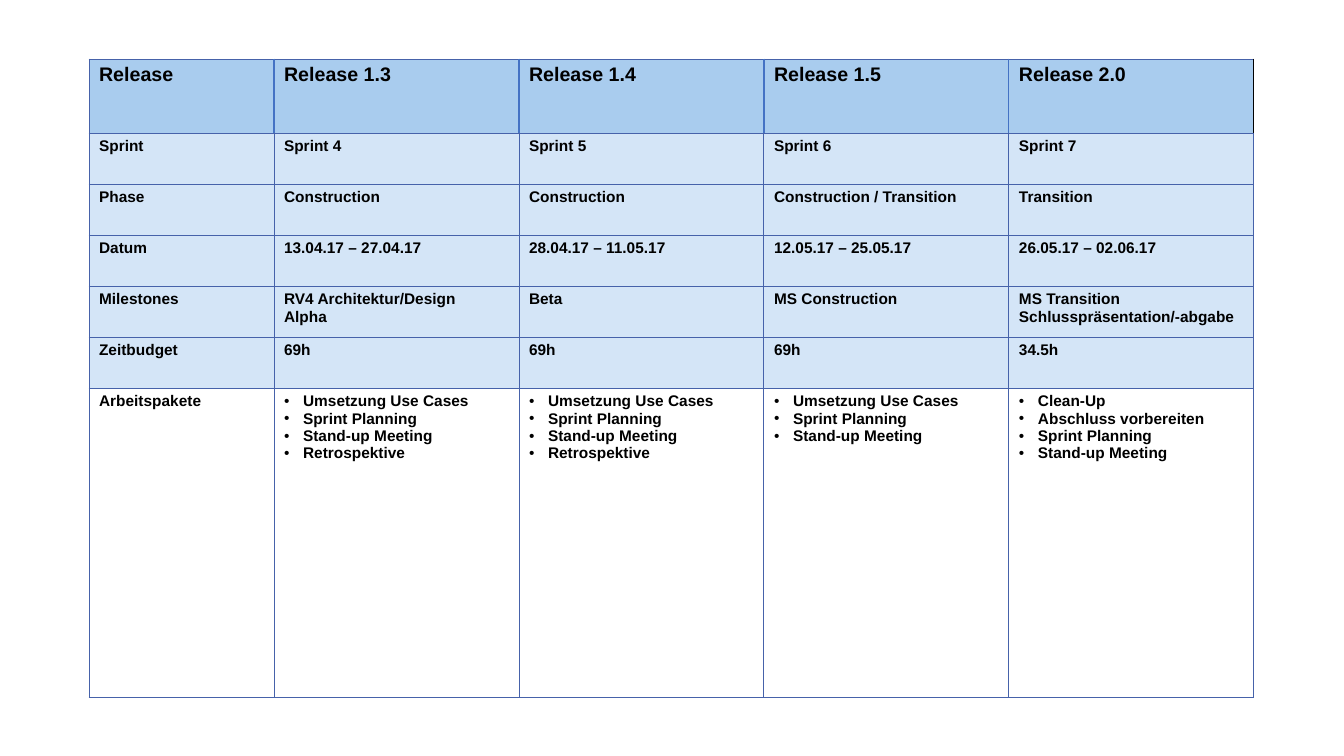
from lxml import etree
from pptx import Presentation
from pptx import util as u
from pptx.dml.color import RGBColor
from pptx.oxml import ns

# Content: one row per topic, one column per release; lists become several paragraphs
SPRINT_TASKS = ["Umsetzung Use Cases", "Sprint Planning", "Stand-up Meeting"]
ROWS = [
    ["Release", "Release 1.3", "Release 1.4", "Release 1.5", "Release 2.0"],
    ["Sprint", "Sprint 4", "Sprint 5", "Sprint 6", "Sprint 7"],
    ["Phase", "Construction", "Construction", "Construction / Transition", "Transition"],
    ["Datum", "13.04.17 – 27.04.17", "28.04.17 – 11.05.17",
     "12.05.17 – 25.05.17", "26.05.17 – 02.06.17"],
    ["Milestones", ["RV4 Architektur/Design", "Alpha"], "Beta", "MS Construction",
     ["MS Transition", "Schlusspräsentation/-abgabe"]],
    ["Zeitbudget", "69h", "69h", "69h", "34.5h"],
    ["Arbeitspakete", SPRINT_TASKS + ["Retrospektive"], SPRINT_TASKS + ["Retrospektive"],
     SPRINT_TASKS,
     ["Clean-Up", "Abschluss vorbereiten", "Sprint Planning", "Stand-up Meeting"]],
]

# Layout in px
PX_PER_INCH = 100.8
SLIDE_SIZE = (1344, 756)
LEFT, TOP = 89, 59
COLUMN_WIDTHS = [185] + [245] * 4
ROW_HEIGHTS = [74] + [51] * 5 + [310]
BULLET_INDENT = 19

# Style
FONT = "Arial"
HEADER_FILL, BODY_FILL, TASK_FILL = "A9CCEE", "D4E5F7", "FFFFFF"
GRID = ("4662AA", 0.75)
HEADER_DIVIDER = ("4472C4", 1)
HEADER_END = ("000000", 0.75)


def px(length):
    return u.Emu(round(length * 914400 / PX_PER_INCH))


def color(value):
    return RGBColor.from_string(value)


def add_border(cell, side, line):
    line_color, width = line
    border = etree.SubElement(cell._tc.get_or_add_tcPr(), ns.qn(f"a:ln{side}"),
                              w=str(u.Pt(width)))
    fill = etree.SubElement(border, ns.qn("a:solidFill"))
    etree.SubElement(fill, ns.qn("a:srgbClr"), val=line_color)


def add_bullet(paragraph):
    properties = paragraph._p.get_or_add_pPr()
    properties.set("marL", str(px(BULLET_INDENT)))
    properties.set("indent", str(-px(BULLET_INDENT)))
    bullet_font = etree.Element(ns.qn("a:buFont"), typeface=FONT)
    bullet = etree.Element(ns.qn("a:buChar"), char="•")
    properties.insert(0, bullet_font)
    properties.insert(1, bullet)


def write_cell(cell, content, size, bulleted):
    lines = content if isinstance(content, list) else [content]
    cell.text = "\n".join(lines)
    for paragraph in cell.text_frame.paragraphs:
        paragraph.font.name = FONT
        paragraph.font.size = u.Pt(size)
        paragraph.font.bold = True
        paragraph.font.color.rgb = color("000000")
        if bulleted:
            add_bullet(paragraph)


def main():
    presentation = Presentation()
    presentation.slide_width, presentation.slide_height = map(px, SLIDE_SIZE)
    slide = presentation.slides.add_slide(presentation.slide_layouts[6])

    # Release plan table
    table = slide.shapes.add_table(
        len(ROWS), len(COLUMN_WIDTHS), px(LEFT), px(TOP),
        px(sum(COLUMN_WIDTHS)), px(sum(ROW_HEIGHTS))).table
    for column, width in zip(table.columns, COLUMN_WIDTHS):
        column.width = px(width)
    for row, height in zip(table.rows, ROW_HEIGHTS):
        row.height = px(height)

    # Cells: text, borders, then fill
    last_row, last_column = len(ROWS) - 1, len(COLUMN_WIDTHS) - 1
    for r, contents in enumerate(ROWS):
        is_header, is_tasks = r == 0, r == last_row
        row_fill = HEADER_FILL if is_header else TASK_FILL if is_tasks else BODY_FILL
        for c, content in enumerate(contents):
            cell = table.cell(r, c)
            write_cell(cell, content, 14 if is_header else 11, is_tasks and c > 0)
            borders = dict.fromkeys("LRTB", GRID)
            if is_header:
                borders["R"] = HEADER_END if c == last_column else HEADER_DIVIDER
                if c > 0:
                    borders["L"] = HEADER_DIVIDER
            for side, line in borders.items():
                add_border(cell, side, line)
            cell.fill.solid()
            cell.fill.fore_color.rgb = color(row_fill)

    presentation.save("out.pptx")


if __name__ == "__main__":
    main()
